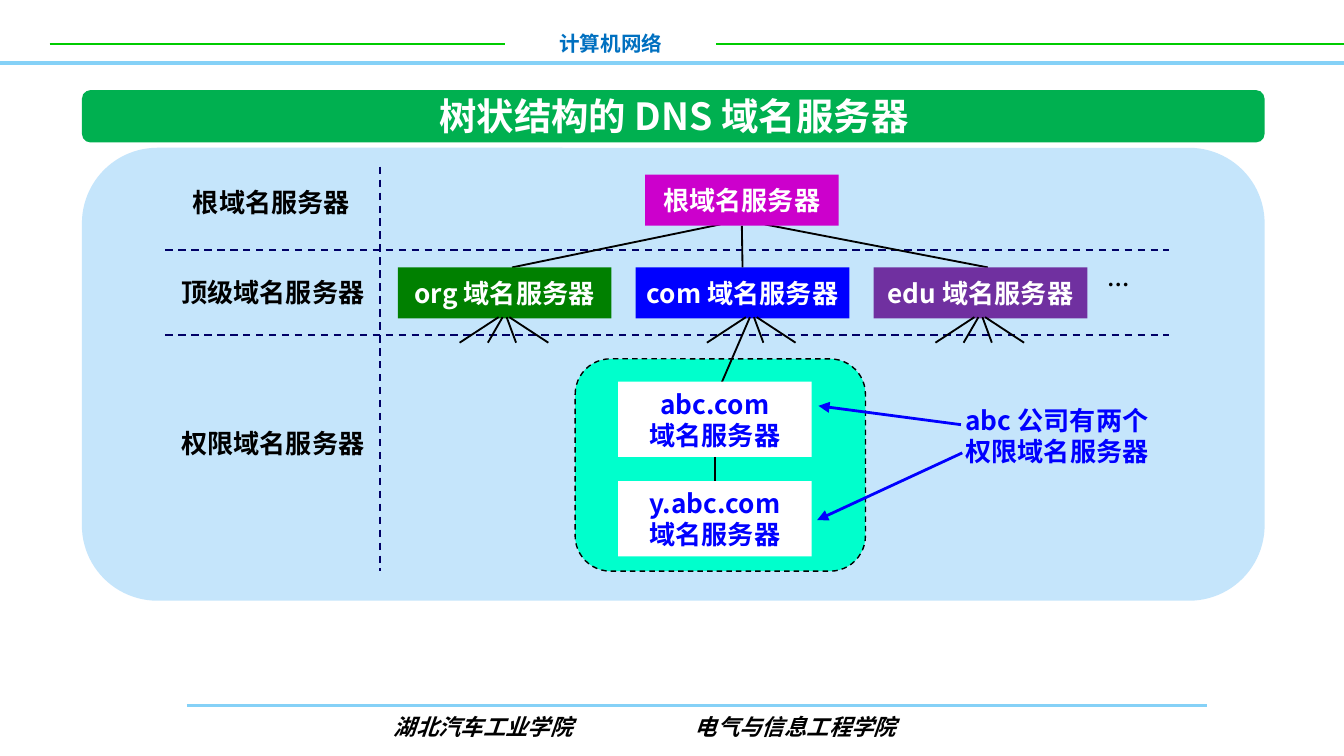
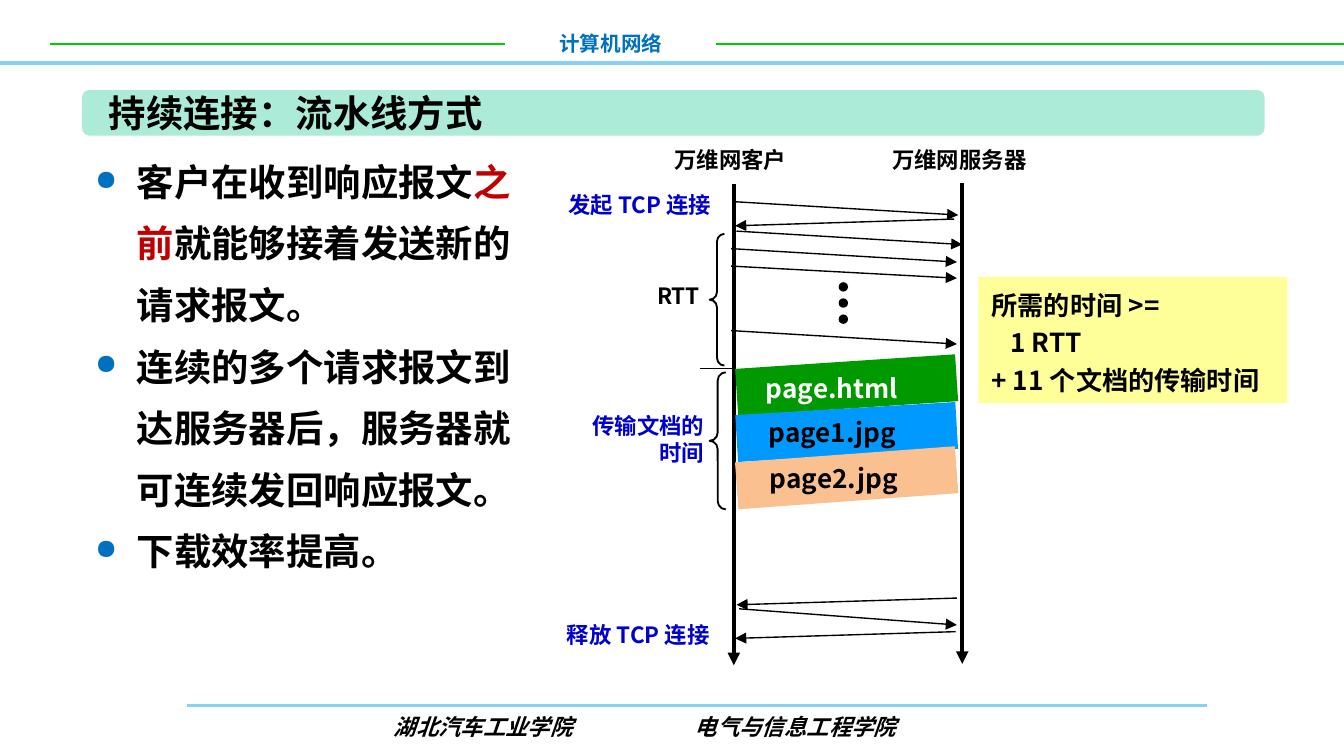
from lxml.etree import SubElement
from pptx import Presentation
from pptx.dml.color import RGBColor
from pptx.enum.dml import MSO_LINE
from pptx.enum.shapes import MSO_CONNECTOR, MSO_SHAPE
from pptx.enum.text import MSO_ANCHOR, MSO_AUTO_SIZE, PP_ALIGN
from pptx.oxml.ns import qn
from pptx.util import Inches, Pt

STRAIGHT, DASH = MSO_CONNECTOR.STRAIGHT, MSO_LINE.DASH
RECT, ROUND = MSO_SHAPE.RECTANGLE, MSO_SHAPE.ROUNDED_RECTANGLE
OVAL, BRACE = MSO_SHAPE.OVAL, MSO_SHAPE.LEFT_BRACE
LEFT, CENTER, RIGHT = PP_ALIGN.LEFT, PP_ALIGN.CENTER, PP_ALIGN.RIGHT
TOP, MIDDLE = MSO_ANCHOR.TOP, MSO_ANCHOR.MIDDLE

FONT, FOOTER_FONT = "Noto Sans CJK SC", "Arial"
BLACK = RGBColor(0x00, 0x00, 0x00)
WHITE = RGBColor(0xFF, 0xFF, 0xFF)
SKY = RGBColor(0x85, 0xD1, 0xF7)
LIME = RGBColor(0x00, 0xCC, 0x00)
COURSE_BLUE = RGBColor(0x00, 0x70, 0xC0)
PANEL_BLUE = RGBColor(0xC5, 0xE5, 0xFB)
TITLE_GREEN = RGBColor(0x00, 0xB0, 0x50)
TITLE_MINT = RGBColor(0xAB, 0xEB, 0xD7)
AQUA = RGBColor(0x00, 0xFF, 0xCC)
MAGENTA = RGBColor(0xCC, 0x00, 0xCC)
GREEN = RGBColor(0x00, 0x80, 0x00)
BLUE = RGBColor(0x00, 0x00, 0xFF)
PURPLE = RGBColor(0x70, 0x30, 0xA0)
NAVY = RGBColor(0x00, 0x00, 0x66)
RED = RGBColor(0xC0, 0x00, 0x00)
LABEL_BLUE = RGBColor(0x00, 0x00, 0xCC)
YELLOW = RGBColor(0xFF, 0xFF, 0x99)
PAGE_GREEN = RGBColor(0x00, 0x99, 0x00)
PAGE_BLUE = RGBColor(0x00, 0x99, 0xFF)
PAGE_ORANGE = RGBColor(0xFA, 0xC0, 0x90)

# Shared frame: from, to, colour, width
FRAME_LINES = [
    ((1.39, 5.25), (8.98, 5.25), SKY, 1.5),
    ((0, 0.47), (10, 0.47), SKY, 2),
    ((5.33, 0.33), (10, 0.33), LIME, 1),
    ((0.37, 0.33), (3.76, 0.33), LIME, 1),
]
COURSE = "计算机网络"
SCHOOLS = ["湖北汽车工业学院", "电气与信息工程学院"]

# Server tree
TREE_TITLE = "树状结构的 DNS 域名服务器"
LEVELS = [
    ("根域名服务器", (1.33, 1.34, 1.38, 0.34)),
    ("顶级域名服务器", (1.24, 2.01, 1.58, 0.34)),
    ("权限域名服务器", (1.24, 3.13, 1.58, 0.34)),
]
TOP_SERVERS = [("org", GREEN), ("com", BLUE), ("edu", PURPLE)]
FAN_TIPS = [3.75, 5.59, 7.29]
FAN = [(0.04, 0.33), (0.02, 0.09), (-0.04, -0.33), (-0.01, -0.12)]
COMPANY_SERVERS = [("abc.com", 2.84), ("y.abc.com", 3.58)]
COMPANY_NOTE = ["abc 公司有两个", "权限域名服务器"]
NOTE_ARROWS = [((7.15, 3.16), (6.09, 3.02)), ((7.16, 3.37), (6.08, 3.87))]
DIVIDERS = [
    ((1.23, 1.86), (8.7, 1.86)),
    ((1.23, 2.49), (8.7, 2.49)),
    ((2.83, 1.24), (2.83, 4.25)),
]

# Pipelined connection
PIPE_TITLE = "持续连接：流水线方式"
BULLETS = [
    [("客户在收到响应报文", BLACK), ("之前", RED), ("就能够接着发送新的请求报文。", BLACK)],
    "连续的多个请求报文到达服务器后，服务器就可连续发回响应报文。",
    "下载效率提高。",
]
TIMELINES = [((5.46, 1.37), (5.46, 4.95)), ((7.16, 1.36), (7.16, 4.94))]
MESSAGES = [
    ((5.45, 1.5), (7.13, 1.6)),
    ((7.1, 1.63), (5.47, 1.68)),
    ((5.48, 1.72), (7.16, 1.82)),
    ((5.44, 1.85), (7.12, 1.95)),
    ((5.44, 1.98), (7.12, 2.07)),
    ((5.44, 2.46), (7.12, 2.56)),
    ((7.12, 4.45), (5.48, 4.5)),
    ((5.5, 4.53), (7.12, 4.65)),
    ((7.11, 4.7), (5.47, 4.75)),
]
PIPE_LABELS = [
    ("万维网服务器", (6.54, 1.04, 1.21, 0.3), BLACK),
    ("万维网客户", (4.92, 1.04, 1.04, 0.3), BLACK),
    ("发起 TCP 连接", (4.13, 1.37, 1.37, 0.3), LABEL_BLUE),
    ("释放 TCP 连接", (4.12, 4.57, 1.37, 0.3), LABEL_BLUE),
    ("RTT", (4.79, 2.05, 0.58, 0.33), BLACK),
]
# name, shape top, rotation, fill, text left, text top, text colour
PAGES = [
    ("page.html", 2.69, 356.2, PAGE_GREEN, 5.6, 2.72, WHITE),
    ("page1.jpg", 3.04, 356.6, PAGE_BLUE, 5.62, 3.05, BLACK),
    ("page2.jpg", 3.38, 355.8, PAGE_ORANGE, 5.63, 3.39, BLACK),
]
BRACES = [(5.28, 1.74, 0.11, 0.98), (5.28, 2.77, 0.12, 1.02)]
TIME_NEEDED = ["所需的时间 >=", "1 RTT", "+ 11 个文档的传输时间"]


def write(sp, paras, size, color, align=LEFT, anchor=TOP, wrap=True,
          spacing=None, bullet=None, font=FONT, italic=False):
    """Fill sp with paragraphs; each is a string or a list of (text, colour) runs."""
    tf = sp.text_frame
    tf.auto_size, tf.word_wrap, tf.vertical_anchor = MSO_AUTO_SIZE.NONE, wrap, anchor
    for i, runs in enumerate(paras):
        p = tf.add_paragraph() if i else tf.paragraphs[0]
        p.alignment = align
        if spacing:
            p.line_spacing = Pt(spacing)
        if bullet:
            pPr = p._p.get_or_add_pPr()
            pPr.set("marL", str(Inches(0.31)))
            pPr.set("indent", str(-Inches(0.31)))
            SubElement(SubElement(pPr, qn("a:buClr")), qn("a:srgbClr"), val=str(bullet))
            SubElement(pPr, qn("a:buSzPct"), val="75000")
            SubElement(pPr, qn("a:buChar"), char="●")
        for text, tint in [(runs, color)] if isinstance(runs, str) else runs:
            r = p.add_run()
            r.text = text
            r.font.size, r.font.name = Pt(size), font
            r.font.bold, r.font.italic = True, italic
            r.font.color.rgb = tint
            SubElement(r._r.get_or_add_rPr(), qn("a:ea"), typeface=FONT)
    return tf


def label(s, at, paras, size, color, **style):
    sp = s.shapes.add_textbox(*map(Inches, at))
    return write(sp, paras, size, color, **style)


def shape(s, kind, at, fill=None, line=None, width=0.75, dash=None):
    sp = s.shapes.add_shape(kind, *map(Inches, at))
    sp.shadow.inherit = False
    if fill is None:
        sp.fill.background()
    else:
        sp.fill.solid()
        sp.fill.fore_color.rgb = fill
    if line is None:
        sp.line.fill.background()
    else:
        sp.line.color.rgb, sp.line.width = line, Pt(width)
        sp.line.dash_style = dash
    return sp


def line(s, start, end, color=BLACK, width=1, dash=None, arrow=False):
    c = s.shapes.add_connector(STRAIGHT, *map(Inches, start + end))
    c.line.color.rgb, c.line.width = color, Pt(width)
    c.line.dash_style = dash
    spPr = c.element.spPr
    if arrow:
        SubElement(spPr.find(qn("a:ln")), qn("a:tailEnd"), type="triangle")
    SubElement(spPr, qn("a:effectLst"))
    return c


def join(s, upper, lower):
    c = line(s, (0, 0), (1, 1))
    c.begin_connect(upper, 2)
    c.end_connect(lower, 0)


def new_slide(prs, title, title_at, bar_height, bar_fill, color, align):
    """Add a slide with the shared frame and a title on a rounded bar."""
    s = prs.slides.add_slide(prs.slide_layouts[5])
    for start, end, tint, width in FRAME_LINES:
        line(s, start, end, tint, width)
    label(s, (3.76, 0.18, 1.57, 0.29), [COURSE], 11, COURSE_BLUE, align=CENTER)
    tf = label(s, (1.02, 5.26, 7.56, 0.3), [], 12, BLACK)
    tf.margin_left = Inches(1.91)
    tabs = SubElement(tf.paragraphs[0]._p.get_or_add_pPr(), qn("a:tabLst"))
    SubElement(tabs, qn("a:tab"), pos=str(Inches(2.24)), algn="l")
    write(s.shapes[-1], ["\t".join(SCHOOLS)], 12, BLACK, font=FOOTER_FONT, italic=True)
    shape(s, ROUND, (0.61, 0.67, 8.8, bar_height), bar_fill)
    sp = s.shapes.title
    sp.left, sp.top, sp.width, sp.height = map(Inches, title_at)
    write(sp, [title], 20, color, align=align, wrap=False)
    sp.element.getparent().append(sp.element)  # title in front of its bar
    return s


def server(s, at, fill, paras, color=WHITE):
    sp = shape(s, RECT, at, fill)
    write(sp, paras, 14, color, align=CENTER, anchor=MIDDLE, wrap=False)
    return sp


def build_tree(prs):
    s = new_slide(prs, TREE_TITLE, (3.07, 0.64, 3.89, 0.44), 0.39,
                  TITLE_GREEN, WHITE, CENTER)
    shape(s, ROUND, (0.61, 1.1, 8.8, 3.37), PANEL_BLUE)
    shape(s, ROUND, (4.28, 2.67, 2.16, 1.58), AQUA, BLACK, dash=DASH)
    for start, end in DIVIDERS:
        line(s, start, end, NAVY, dash=DASH)
    for text, at in LEVELS:
        label(s, at, [text], 14, BLACK, align=CENTER, wrap=False)

    line(s, (3.81, 1.99), (5.36, 1.67))
    line(s, (7.35, 1.99), (5.69, 1.67))
    root = server(s, (4.8, 1.3, 1.44, 0.38), MAGENTA, ["根域名服务器"])
    for i, ((name, fill), tip) in enumerate(zip(TOP_SERVERS, FAN_TIPS)):
        sp = server(s, (2.96 + 1.77 * i, 1.99, 1.59, 0.38), fill, [f"{name} 域名服务器"])
        if name == "com":
            join(s, root, sp)
            line(s, (5.58, 2.36), (5.36, 2.87))
        for near, far in FAN[:3] if name == "com" else FAN:
            line(s, (tip + near, 2.36), (tip + far, 2.55))
    label(s, (8.14, 1.97, 0.36, 0.3), ["…"], 12, BLACK, wrap=False)

    first, second = [
        server(s, (4.6, top, 1.44, 0.56), WHITE, [name, "域名服务器"], BLUE)
        for name, top in COMPANY_SERVERS
    ]
    join(s, first, second)
    label(s, (7.07, 2.96, 1.59, 0.57), COMPANY_NOTE, 14, BLUE, align=CENTER)
    for start, end in NOTE_ARROWS:
        line(s, start, end, BLUE, 1.5, arrow=True)


def build_pipeline(prs):
    s = new_slide(prs, PIPE_TITLE, (0.71, 0.62, 3.09, 0.44), 0.34,
                  TITLE_MINT, BLACK, LEFT)
    label(s, (0.61, 1.01, 3.33, 3.34), BULLETS, 20, BLACK, spacing=33, bullet=COURSE_BLUE)
    for start, end in TIMELINES:
        line(s, start, end, width=2.25, arrow=True)
    for start, end in MESSAGES:
        line(s, start, end, width=0.75, arrow=True)
    line(s, (5.46, 2.74), (5.21, 2.74), width=0.75)
    for text, at, color in PIPE_LABELS:
        label(s, at, [text], 12, color)
    for i in range(3):
        shape(s, OVAL, (6.24, 2.1 + 0.12 * i, 0.07, 0.07), BLACK)

    for name, top, angle, fill, text_left, text_top, color in PAGES:
        shape(s, RECT, (5.48, top, 1.64, 0.35), fill).rotation = angle
        label(s, (text_left, text_top, 1.39, 0.3), [name], 14, color)
    for at in BRACES:
        shape(s, BRACE, at, line=BLACK, width=1).adjustments[0] = 0.52
    label(s, (4.21, 3.02, 1.13, 0.5), ["传输文档的时间"], 12, LABEL_BLUE, align=RIGHT)

    sp = shape(s, RECT, (7.28, 2.06, 2.3, 0.94), YELLOW)
    tf = write(sp, TIME_NEEDED, 14, BLACK, spacing=20)
    tf.paragraphs[1]._p.get_or_add_pPr().set("marL", str(Inches(0.14)))


def main():
    prs = Presentation()
    prs.slide_width = Inches(10)
    prs.slide_height = prs.slide_width * 9 // 16
    build_tree(prs)
    build_pipeline(prs)
    prs.save("out.pptx")


if __name__ == "__main__":
    main()
